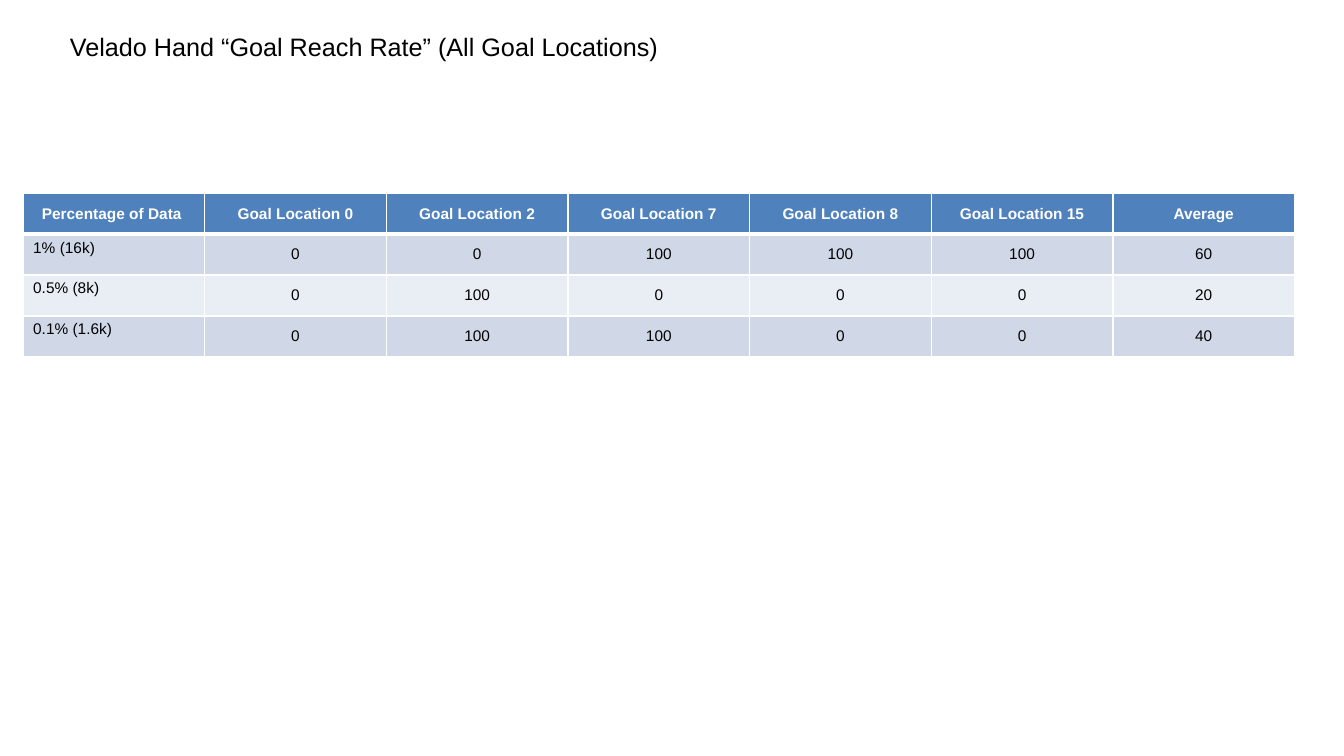
from dataclasses import dataclass

from lxml import etree
from pptx import Presentation
from pptx.dml.color import RGBColor
from pptx.enum.text import MSO_ANCHOR, MSO_AUTO_SIZE, PP_ALIGN
from pptx.oxml.ns import qn
from pptx.util import Emu, Pt

LEFT, CENTER = PP_ALIGN.LEFT, PP_ALIGN.CENTER
TOP, MIDDLE = MSO_ANCHOR.TOP, MSO_ANCHOR.MIDDLE
FIT_SHAPE = MSO_AUTO_SIZE.SHAPE_TO_FIT_TEXT

EMU_PER_PX = 9525
FONT = "Arial"
BLACK, WHITE, HEADER_BLUE = "000000", "FFFFFF", "4F81BD"
BANDS = ("D0D8E8", "E9EDF4")
COL_WIDTH, ROW_HEIGHT = 173, 39
THIN, THICK = 1, 3

# Table content
HEADERS = ("Percentage of Data ", "Goal Location 0", "Goal Location 2",
           "Goal Location 7", "Goal Location 8", "Goal Location 15", "Average")


@dataclass
class ReachRate:
    data: str
    rates: tuple[int, ...]
    average: int


RATES = (
    ReachRate("1% (16k)", (0, 0, 100, 100, 100), 60),
    ReachRate("0.5% (8k)", (0, 100, 0, 0, 0), 20),
    ReachRate("0.1% (1.6k)", (0, 100, 100, 0, 0), 40),
)


# Helpers
def px(n: int) -> Emu:
    return Emu(n * EMU_PER_PX)


def rgb(color: str) -> RGBColor:
    return RGBColor.from_string(color)


def add_text(tf, text: str, size: int, color: str, bold: bool, align) -> None:
    p = tf.paragraphs[0]
    p.alignment = align
    r = p.add_run()
    r.text = text
    r.font.name = FONT
    r.font.size = Pt(size)
    r.font.bold = bold
    r.font.color.rgb = rgb(color)


def set_borders(cell, top: int, bottom: int) -> None:
    tc_pr = cell._tc.get_or_add_tcPr()
    for side, width in (("L", THIN), ("R", THIN), ("T", top), ("B", bottom)):
        ln = etree.SubElement(tc_pr, qn(f"a:ln{side}"), w=str(Pt(width)))
        fill = etree.SubElement(ln, qn("a:solidFill"))
        etree.SubElement(fill, qn("a:srgbClr"), val=WHITE)


# Title
def add_title(s) -> None:
    sp = s.shapes.title
    sp.left, sp.top, sp.width, sp.height = px(57), px(25), px(1162), px(38)
    tf = sp.text_frame
    tf.word_wrap = True
    tf.auto_size = FIT_SHAPE
    tf.vertical_anchor = TOP
    add_text(tf, "Velado Hand “Goal Reach Rate” (All Goal Locations)",
             18, BLACK, False, LEFT)


# Table of reach rates
def add_rate_table(s) -> None:
    rows = [HEADERS] + [(r.data, *r.rates, r.average) for r in RATES]
    n_rows, n_cols = len(rows), len(HEADERS)
    table = s.shapes.add_table(n_rows, n_cols, px(22), px(184),
                               px(n_cols * COL_WIDTH),
                               px(n_rows * ROW_HEIGHT)).table
    for col in table.columns:
        col.width = px(COL_WIDTH)
    for i, values in enumerate(rows):
        table.rows[i].height = px(ROW_HEIGHT)
        header = i == 0
        for j, value in enumerate(values):
            cell = table.cell(i, j)
            row_label = j == 0 and not header
            # The heavy rule lies between the header and the first data row
            set_borders(cell, THICK if i == 1 else THIN,
                        THICK if header else THIN)
            cell.fill.solid()
            cell.fill.fore_color.rgb = rgb(
                HEADER_BLUE if header else BANDS[(i - 1) % 2])
            cell.vertical_anchor = TOP if row_label else MIDDLE
            add_text(cell.text_frame, str(value), 11,
                     WHITE if header else BLACK, header,
                     LEFT if row_label else CENTER)


def main() -> None:
    prs = Presentation()
    prs.slide_width, prs.slide_height = px(1280), px(720)
    s = prs.slides.add_slide(prs.slide_layouts[5])
    add_title(s)
    add_rate_table(s)
    prs.save("out.pptx")


if __name__ == "__main__":
    main()
